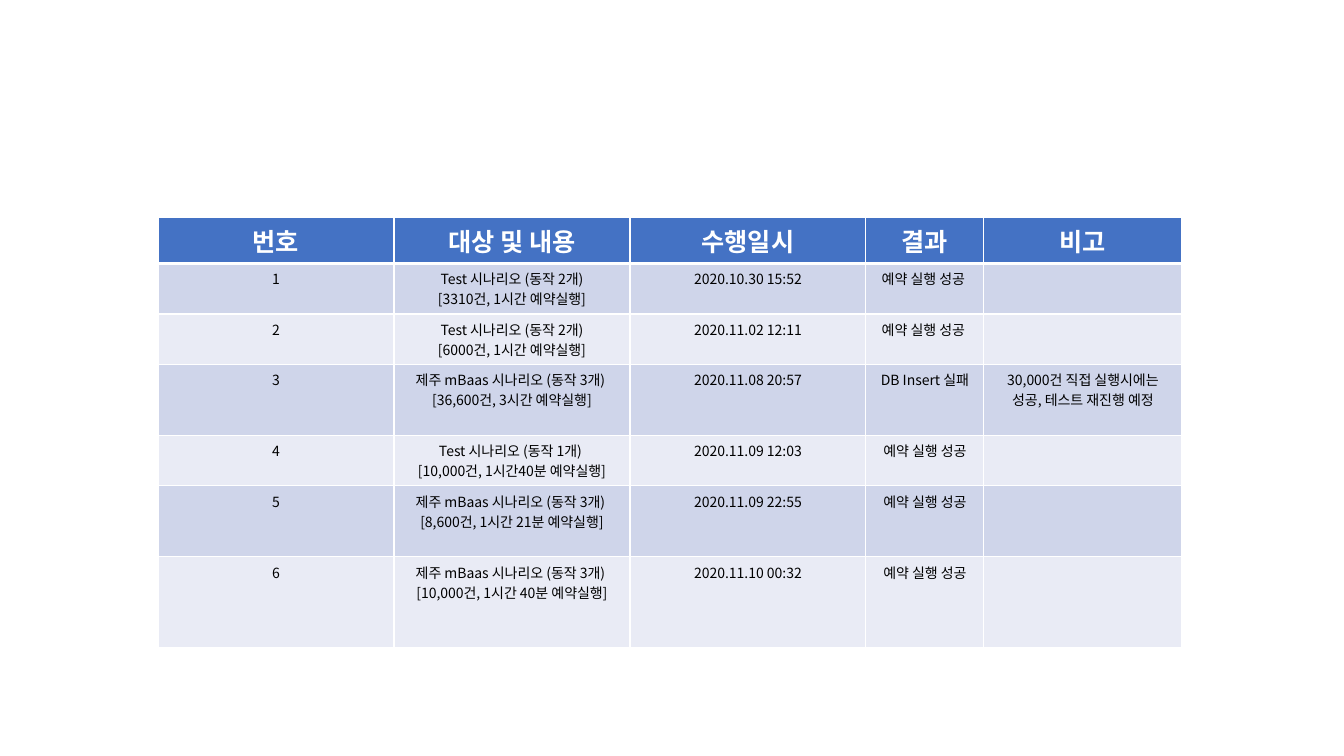
from lxml import etree
from pptx import Presentation
from pptx.dml.color import RGBColor
from pptx.enum.text import PP_ALIGN
from pptx.oxml.ns import qn
from pptx.util import Pt

CENTER = PP_ALIGN.CENTER
PX = 914400 / 100.8
FONT = "Noto Sans CJK KR"
COLORS = {"header": "4472C4", "odd": "CFD5EA", "even": "E9EBF5",
          "white": "FFFFFF", "black": "000000"}

HEADERS = ["번호", "대상 및 내용", "수행일시", "결과", "비고"]
RUNS = [
    ("Test 시나리오 (동작 2개)\n[3310건, 1시간 예약실행]",
     "2020.10.30 15:52", "예약 실행 성공 ", ""),
    ("Test 시나리오 (동작 2개)\n[6000건, 1시간 예약실행]",
     "2020.11.02 12:11", "예약 실행 성공 ", ""),
    ("제주 mBaas 시나리오 (동작 3개) \n[36,600건, 3시간 예약실행]",
     "2020.11.08 20:57", "DB Insert 실패",
     "30,000건 직접 실행시에는 성공, 테스트 재진행 예정"),
    ("Test 시나리오 (동작 1개) \n[10,000건, 1시간40분 예약실행]",
     "2020.11.09 12:03", "예약 실행 성공", ""),
    ("제주 mBaas 시나리오 (동작 3개) \n[8,600건, 1시간 21분 예약실행]",
     "2020.11.09 22:55", "예약 실행 성공", ""),
    ("제주 mBaas 시나리오 (동작 3개) \n[10,000건, 1시간 40분 예약실행]",
     "2020.11.10 00:32", "예약 실행 성공", ""),
]
LEFT, TOP = 158, 217
COL_WIDTHS = [236, 236, 236, 118, 198]
ROW_HEIGHTS = [45, 50, 50, 71, 50, 71, 91]


def emu(px):
    return round(px * PX)


def rgb(name):
    return RGBColor.from_string(COLORS[name])


def add_border(cell, side, points):
    ln = etree.SubElement(cell._tc.get_or_add_tcPr(), qn("a:ln" + side), w=str(Pt(points)))
    fill = etree.SubElement(ln, qn("a:solidFill"))
    etree.SubElement(fill, qn("a:srgbClr"), val=COLORS["white"])


def fill_cell(cell, text, row):
    header = row == 0
    for side in "LRTB":
        thick = (header and side == "B") or (row == 1 and side == "T")
        add_border(cell, side, 3 if thick else 1)
    cell.fill.solid()
    cell.fill.fore_color.rgb = rgb("header" if header else "odd" if row % 2 else "even")
    cell.text_frame.text = text
    for p in cell.text_frame.paragraphs:
        p.alignment = CENTER
        for r in p.runs:
            r.font.size = Pt(18 if header else 10)
            r.font.bold = header
            r.font.color.rgb = rgb("white" if header else "black")
            r.font.name = FONT
            etree.SubElement(r.font._element, qn("a:ea"), typeface=FONT)


prs = Presentation()
prs.slide_width, prs.slide_height = emu(1344), emu(756)
s = prs.slides.add_slide(prs.slide_layouts[6])

rows = [HEADERS] + [(str(n), *run) for n, run in enumerate(RUNS, 1)]
table = s.shapes.add_table(len(rows), len(HEADERS), emu(LEFT), emu(TOP),
                           emu(sum(COL_WIDTHS)), emu(sum(ROW_HEIGHTS))).table
for column, width in zip(table.columns, COL_WIDTHS):
    column.width = emu(width)
for i, (values, height) in enumerate(zip(rows, ROW_HEIGHTS)):
    table.rows[i].height = emu(height)
    for j, value in enumerate(values):
        fill_cell(table.cell(i, j), value, i)

prs.save("out.pptx")
